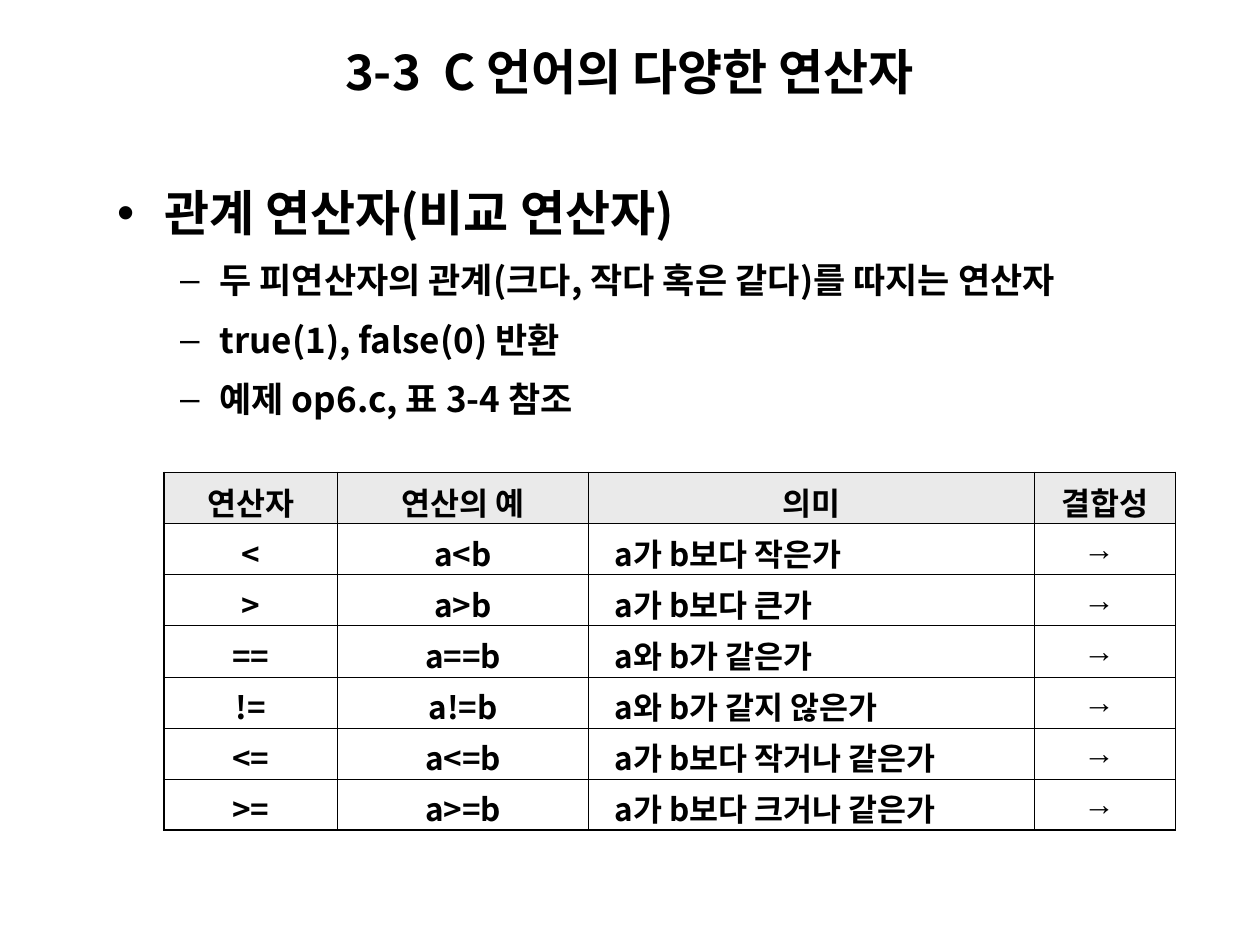
import pptx
import pptx.util
from lxml import etree
from pptx.dml.color import RGBColor
from pptx.enum.text import MSO_ANCHOR, PP_ALIGN
from pptx.oxml.ns import qn
from pptx.util import Pt

BLACK = RGBColor(0x00, 0x00, 0x00)
WHITE = RGBColor(0xFF, 0xFF, 0xFF)
HEADER_GRAY = RGBColor(0xEA, 0xEA, 0xEA)
KOREAN_FONT = "Noto Sans CJK KR"
ARROW_FONT = "Arial"
THIN, THICK = 0.45, 1.08

TITLE = "3-3  C 언어의 다양한 연산자"
HEADING = "관계 연산자(비교 연산자)"
DETAILS = [
    "두 피연산자의 관계(크다, 작다 혹은 같다)를 따지는 연산자",
    "true(1), false(0) 반환",
    "예제 op6.c, 표 3-4 참조",
]
HEADERS = ["연산자", "연산의 예", "의미", "결합성"]
MEANINGS = {
    "<": "a가 b보다 작은가",
    ">": "a가 b보다 큰가",
    "==": "a와 b가 같은가",
    "!=": "a와 b가 같지 않은가",
    "<=": "a가 b보다 작거나 같은가",
    ">=": "a가 b보다 크거나 같은가",
}
COLUMN_WIDTHS = [99.4, 143.3, 254.9, 80.6]
MEANING_COLUMN, DIRECTION_COLUMN = 2, 3


def format_runs(paragraph, size, font_name=KOREAN_FONT):
    for run in paragraph.runs:
        run.font.size = Pt(size)
        run.font.bold = True
        run.font.name = font_name
        run.font.color.rgb = BLACK
        properties = run.font._element
        east_asian = etree.SubElement(properties, qn("a:ea"), typeface=font_name)
        properties.find(qn("a:latin")).addnext(east_asian)


def add_bullet(paragraph, character, margin, indent):
    properties = paragraph._p.get_or_add_pPr()
    properties.set("marL", str(Pt(margin)))
    properties.set("indent", str(Pt(indent)))
    color = etree.SubElement(properties, qn("a:buClr"))
    etree.SubElement(color, qn("a:srgbClr"), val=str(BLACK))
    etree.SubElement(properties, qn("a:buFont"), typeface=ARROW_FONT)
    etree.SubElement(properties, qn("a:buChar"), char=character)


def set_borders(cell, widths):
    """Draw the borders, given in the order left, right, top, bottom."""
    properties = cell._tc.get_or_add_tcPr()
    for position, (side, width) in enumerate(zip("LRTB", widths)):
        line = etree.Element(qn(f"a:ln{side}"), w=str(Pt(width)))
        fill = etree.SubElement(line, qn("a:solidFill"))
        etree.SubElement(fill, qn("a:srgbClr"), val=str(BLACK))
        properties.insert(position, line)


def add_title(slide, left, top, width, height):
    title = slide.shapes.add_textbox(Pt(left), Pt(top), Pt(width), Pt(height))
    frame = title.text_frame
    frame.word_wrap = True
    frame.vertical_anchor = MSO_ANCHOR.MIDDLE
    frame.text = TITLE
    format_runs(frame.paragraphs[0], 28)


def add_body(slide, left, top, width, height):
    body = slide.shapes.add_textbox(Pt(left), Pt(top), Pt(width), Pt(height))
    frame = body.text_frame
    frame.word_wrap = True
    frame.text = "\n".join([HEADING] + DETAILS)
    for index, paragraph in enumerate(frame.paragraphs):
        is_heading = index == 0
        paragraph.level = 0 if is_heading else 1
        paragraph.line_spacing = 1.2
        paragraph.space_before = Pt(7 if is_heading else 5)
        if is_heading:
            add_bullet(paragraph, "•", 27, -27)
        else:
            add_bullet(paragraph, "–", 58.5, -22.5)
        format_runs(paragraph, 28 if is_heading else 20)


def add_operator_table(slide, left, top, width, height):
    rows = [HEADERS] + [
        [operator, f"a{operator}b", meaning, "→"]
        for operator, meaning in MEANINGS.items()
    ]
    last_row, last_column = len(rows) - 1, len(HEADERS) - 1
    frame = slide.shapes.add_table(
        len(rows), len(HEADERS), Pt(left), Pt(top), Pt(width), Pt(height)
    )
    table = frame.table
    table.first_row = False
    table.horz_banding = False
    for column, column_width in zip(table.columns, COLUMN_WIDTHS):
        column.width = Pt(column_width)

    for row_index, row in enumerate(rows):
        is_header = row_index == 0
        for column_index, text in enumerate(row):
            cell = table.cell(row_index, column_index)
            cell.text = text
            cell.vertical_anchor = MSO_ANCHOR.MIDDLE
            cell.fill.solid()
            cell.fill.fore_color.rgb = HEADER_GRAY if is_header else WHITE
            outer_sides = (
                column_index == 0,
                column_index == last_column,
                is_header,
                row_index == last_row,
            )
            set_borders(cell, [THICK if outer else THIN for outer in outer_sides])

            paragraph = cell.text_frame.paragraphs[0]
            paragraph.space_before = Pt(4.5)
            paragraph.alignment = PP_ALIGN.CENTER
            font_name = KOREAN_FONT
            if not is_header and column_index == MEANING_COLUMN:
                paragraph.alignment = PP_ALIGN.LEFT
                cell.margin_left = Pt(15)
            elif not is_header and column_index == DIRECTION_COLUMN:
                cell.margin_right = Pt(14)
                font_name = ARROW_FONT
            format_runs(paragraph, 18, font_name)


def main():
    presentation = pptx.Presentation()
    presentation.slide_width = Pt(720)
    presentation.slide_height = Pt(540)
    slide = presentation.slides.add_slide(presentation.slide_layouts[6])
    add_body(slide, 59.8, 94.3, 612, 149)
    add_operator_table(slide, 93.6, 270, sum(COLUMN_WIDTHS), 204.5)
    add_title(slide, 190.1, 20.2, 396.7, 41)
    presentation.save("out.pptx")


if __name__ == "__main__":
    main()
